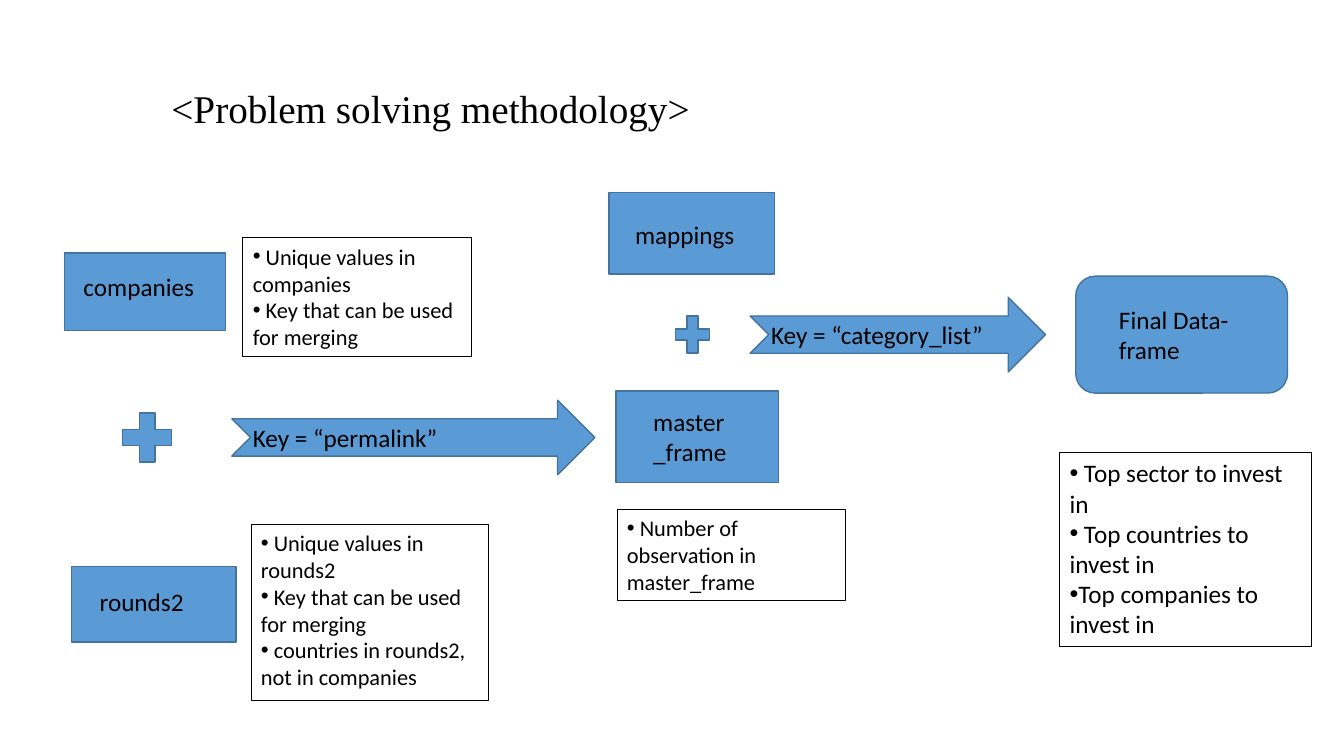
from dataclasses import dataclass

from lxml.etree import SubElement
from pptx import Presentation
from pptx.dml.color import RGBColor
from pptx.enum.shapes import MSO_SHAPE
from pptx.enum.text import MSO_ANCHOR, MSO_AUTO_SIZE, PP_ALIGN
from pptx.oxml.ns import qn
from pptx.util import Inches, Pt


@dataclass(frozen=True)
class Theme:
    blue: RGBColor = RGBColor(0x5B, 0x9B, 0xD5)
    edge: RGBColor = RGBColor(0x43, 0x73, 0x9E)
    ink: RGBColor = RGBColor(0, 0, 0)
    title_font: str = "Times New Roman"
    body_font: str = "Calibri"
    title_size: int = 28
    label_size: int = 18
    note_size: int = 16
    edge_width: float = 1
    note_width: float = 0.75


THEME = Theme()

TITLE = "<Problem solving methodology>"
TITLE_PLACE = (1.46, 0.59, 10.19, 0.94)

# Each node: preset, its place, label, place of the label
# Places are left, top, width, height in inches
NODES = [
    (MSO_SHAPE.RECTANGLE, (0.64, 2.51, 1.6, 0.77), "companies", (0.73, 2.64, 1.43, 0.4)),
    (MSO_SHAPE.RECTANGLE, (0.71, 5.62, 1.63, 0.75), "rounds2", (0.89, 5.77, 1.17, 0.4)),
    (MSO_SHAPE.RECTANGLE, (6.11, 3.88, 1.61, 0.91), "master_frame", (6.38, 3.98, 0.97, 0.71)),
    (MSO_SHAPE.RECTANGLE, (6.04, 1.91, 1.64, 0.81), "mappings", (6.2, 2.13, 1.33, 0.4)),
    (MSO_SHAPE.ROUNDED_RECTANGLE, (10.67, 2.74, 2.1, 1.16), "Final Data-frame", (11, 2.97, 1.53, 0.71)),
]

# Each merge: place of the plus, place of the arrow, key
MERGES = [
    ((1.13, 4.01, 0.66, 0.66), (2.3, 3.97, 3.6, 0.74), "Key = “permalink”"),
    ((6.64, 3.07, 0.46, 0.5), (7.44, 2.95, 2.93, 0.74), "Key = “category_list”"),
]
KEY_OFFSET = (0.11, 0.17)
KEY_SIZE = (3.2, 0.4)

# Each note: place, type size, bullets
NOTES = [
    ((2.41, 2.36, 2.27, 1.18), THEME.note_size,
     [" Unique values in companies", " Key that can be used for merging"]),
    ((2.49, 5.2, 2.36, 1.75), THEME.note_size,
     [" Unique values in rounds2", " Key that can be used for merging",
      " countries in rounds2, not in companies"]),
    ((6.12, 5.05, 2.27, 0.91), THEME.note_size,
     [" Number of observation in master_frame"]),
    ((10.51, 4.49, 2.5, 1.92), THEME.label_size,
     [" Top sector to invest in", " Top countries to invest in",
      "Top companies to invest in"]),
]


def inches(place):
    return [Inches(length) for length in place]


def style_runs(paragraph, font_name, size):
    for run in paragraph.runs:
        run.font.name = font_name
        run.font.size = Pt(size)
        run.font.bold = False
        run.font.color.rgb = THEME.ink


def add_title(slide):
    title = slide.shapes.title
    title.left, title.top, title.width, title.height = inches(TITLE_PLACE)
    frame = title.text_frame
    frame.text = TITLE
    frame.auto_size = MSO_AUTO_SIZE.NONE
    frame.vertical_anchor = MSO_ANCHOR.MIDDLE
    frame.margin_left = Inches(0.24)
    frame.margin_top = Inches(0.13)
    heading = frame.paragraphs[0]
    heading.alignment = PP_ALIGN.LEFT
    heading.line_spacing = 0.9
    style_runs(heading, THEME.title_font, THEME.title_size)


def add_block(slide, preset, place):
    block = slide.shapes.add_shape(preset, *inches(place))
    block.shadow.inherit = False
    block.fill.solid()
    block.fill.fore_color.rgb = THEME.blue
    block.line.color.rgb = THEME.edge
    block.line.width = Pt(THEME.edge_width)


def add_text(slide, place, lines, size):
    box = slide.shapes.add_textbox(*inches(place))
    frame = box.text_frame
    frame.word_wrap = True
    frame.text = "\n".join(lines)
    for paragraph in frame.paragraphs:
        style_runs(paragraph, THEME.body_font, size)
    return box


def add_note(slide, place, size, bullets):
    note = add_text(slide, place, bullets, size)
    note.line.color.rgb = THEME.ink
    note.line.width = Pt(THEME.note_width)
    for paragraph in note.text_frame.paragraphs:
        properties = paragraph._p.get_or_add_pPr()
        SubElement(properties, qn("a:buFont"), typeface="Arial")
        SubElement(properties, qn("a:buChar"), char="•")


def main():
    deck = Presentation()
    deck.slide_width, deck.slide_height = Inches(13.33), Inches(7.5)
    slide = deck.slides.add_slide(deck.slide_layouts.get_by_name("Title Only"))

    add_title(slide)
    for preset, place, label, label_place in NODES:
        add_block(slide, preset, place)
        add_text(slide, label_place, [label], THEME.label_size)
    for plus_place, arrow_place, key in MERGES:
        add_block(slide, MSO_SHAPE.MATH_PLUS, plus_place)
        add_block(slide, MSO_SHAPE.NOTCHED_RIGHT_ARROW, arrow_place)
        corner = tuple(a + b for a, b in zip(arrow_place, KEY_OFFSET))
        add_text(slide, corner + KEY_SIZE, [key], THEME.label_size)
    for place, size, bullets in NOTES:
        add_note(slide, place, size, bullets)

    deck.save("out.pptx")


if __name__ == "__main__":
    main()
